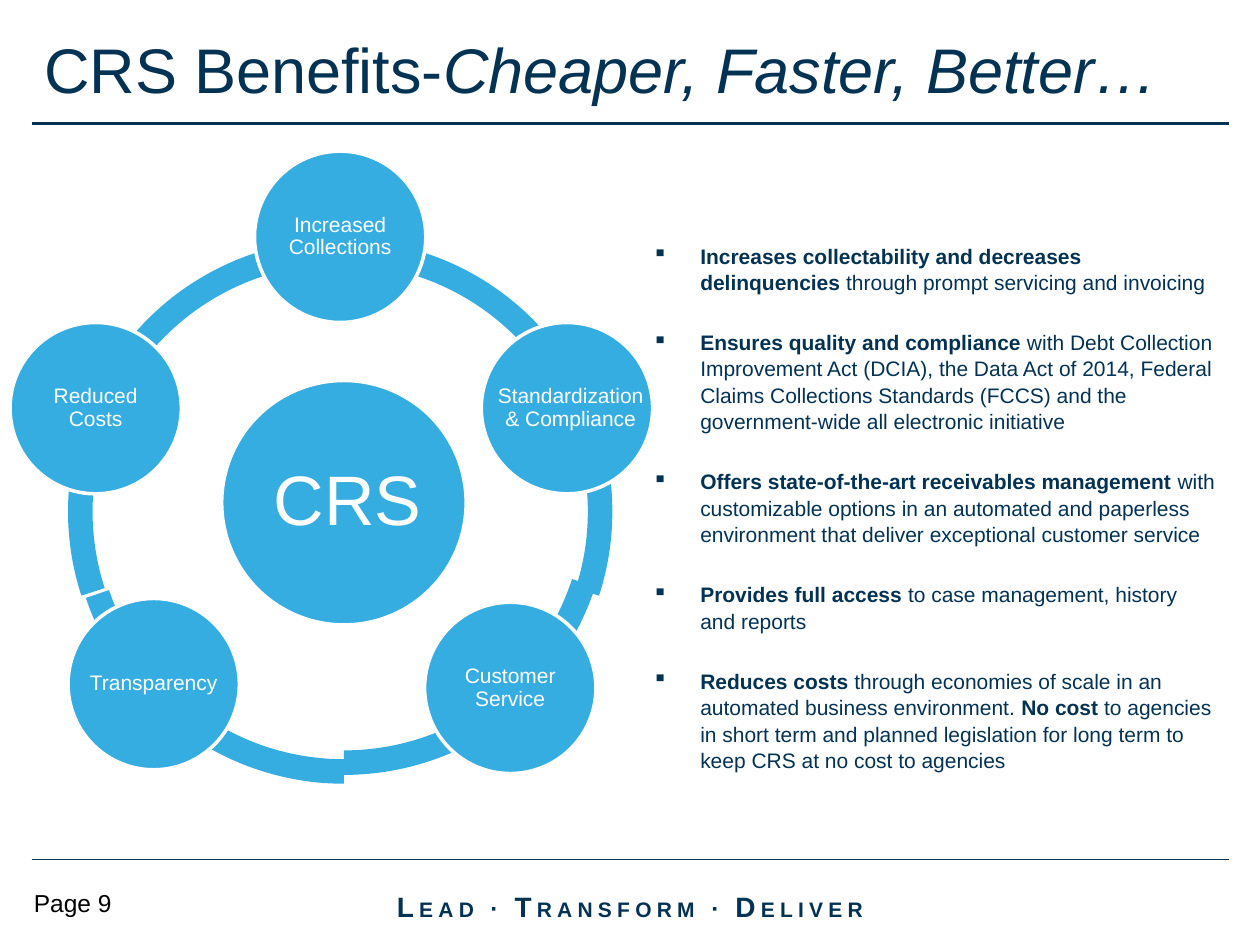
from pptx import Presentation
from pptx.dml.color import RGBColor
from pptx.enum.shapes import MSO_CONNECTOR as CONN, MSO_SHAPE as SHAPE
from pptx.enum.text import MSO_ANCHOR as ANCHOR, MSO_AUTO_SIZE as AUTO, PP_ALIGN as ALIGN
from pptx.oxml.ns import qn
from pptx.util import Inches, Pt
from lxml import etree

COLORS = {"navy": "043253", "blue": "36ADE1", "white": "FFFFFF", "black": "000000"}
FONT = "Arial"
W, H = 10, 7.5
MARGIN = W / 40
RING = 4.32  # ring diameter
HUB, NODE = 1.94, 1.36  # circle diameters

# Ring segments: left, top, start angle, end angle
ARCS = [
    (0.51, 1.83, 17.96, 53.5),
    (0.57, 1.9, 125.96, 161.5),
    (0.57, 1.9, 90, 126),
    (0.57, 1.83, 54, 90),
    (0.54, 1.9, 198, 18),
    (0.54, 1.9, 162, 198),
]

# Circles around the hub: label, left, top, label width
NODES = [
    ("Increased Collections", 2.02, 1.2, 0.96),
    ("Standardization & Compliance", 3.82, 2.56, 1.27),
    ("Customer Service", 3.37, 4.78, 0.96),
    ("Transparency", 0.54, 4.75, 1.08),
    ("Reduced Costs", 0.08, 2.56, 0.96),
]

# Bullets as (text, bold) runs
BENEFITS = [
    [("Increases collectability and decreases delinquencies ", True),
     ("through prompt servicing and invoicing", False)],
    [("Ensures quality and compliance", True),
     (" with Debt Collection Improvement Act (DCIA), the Data Act of 2014, Federal Claims "
      "Collections Standards (FCCS) and the government-wide all electronic initiative", False)],
    [("Offers state-of-the-art receivables management ", True),
     ("with customizable options in an automated and paperless environment that deliver "
      "exceptional customer service", False)],
    [("Provides full access ", True),
     ("to case management, history and reports", False)],
    [("Reduces costs", True),
     (" through economies of scale in an automated business environment. ", False),
     ("No cost", True),
     (" to agencies in short term and planned legislation for long term to keep CRS at no "
      "cost to agencies", False)],
]

# Motto as (text, size) runs
MOTTO = [("L", 16), ("EAD ", 12), ("∙ ", 14), ("T", 16), ("RANSFORM ", 12),
         ("∙ ", 14), ("D", 16), ("ELIVER", 12)]


def rgb(name):
    return RGBColor.from_string(COLORS[name])


def box(*lengths):
    return [Inches(v) for v in lengths]


def add_run(p, text, size, color="navy", bold=False, italic=False):
    r = p.add_run()
    r.text = text
    r.font.name, r.font.size = FONT, Pt(size)
    r.font.bold, r.font.italic = bold, italic
    r.font.color.rgb = rgb(color)
    return r


def add_text(shapes, place, anchor=ANCHOR.TOP, inset=None):
    tf = shapes.add_textbox(*box(*place)).text_frame
    tf.word_wrap = True
    tf.vertical_anchor = anchor
    if inset is not None:
        tf.margin_left = tf.margin_right = tf.margin_top = tf.margin_bottom = Inches(inset)
    return tf


def add_rule(slide, y, width):
    line = slide.shapes.add_connector(CONN.STRAIGHT, *box(MARGIN, y, W - MARGIN, y))
    line.line.color.rgb = rgb("navy")
    line.line.width = Pt(width)
    etree.SubElement(line._element.spPr, qn("a:effectLst"))


def fill_blue(s):
    s.shadow.inherit = False
    s.fill.solid()
    s.fill.fore_color.rgb = rgb("blue")


def add_arc(slide, left, top, start, end):
    s = slide.shapes.add_shape(SHAPE.BLOCK_ARC, *box(left, top, RING, RING))
    fill_blue(s)
    s.line.fill.background()
    # Angles are stored in 1/60000 degree, adjustments in 1/100000
    for i, value in enumerate((start * 0.6, end * 0.6, 0.045)):
        s.adjustments[i] = value


def add_circle(slide, label, left, top, size, label_w, label_h, points, inset):
    group = slide.shapes.add_group_shape()
    s = group.shapes.add_shape(SHAPE.OVAL, *box(left, top, size, size))
    fill_blue(s)
    s.line.color.rgb = rgb("white")
    s.line.width = Pt(2)
    # Label centred on the circle, kept inside its right edge
    label_left = min(left + (size - label_w) / 2 + (0.03 if label_w > 1.2 else 0),
                     left + size - label_w)
    tf = add_text(group.shapes, (label_left, top + (size - label_h) / 2, label_w, label_h),
                  ANCHOR.MIDDLE, inset)
    p = tf.paragraphs[0]
    p.alignment = ALIGN.CENTER
    p.line_spacing = 0.9
    add_run(p, label, points, "white")


def add_title(slide):
    title = slide.shapes.title
    title.left, title.top, title.width, title.height = box(MARGIN, 0.17, W - 2 * MARGIN, 0.75)
    tf = title.text_frame
    tf.auto_size = AUTO.NONE
    tf.vertical_anchor = ANCHOR.MIDDLE
    p = tf.paragraphs[0]
    p.alignment = ALIGN.LEFT
    add_run(p, "CRS Benefits-", 36)
    add_run(p, "Cheaper, Faster, Better…", 36, italic=True)


def add_benefits(slide):
    tf = add_text(slide.shapes, (5.08, 1.87, 4.67, 5.38))
    for i, runs in enumerate(BENEFITS):
        p = tf.paragraphs[0] if i == 0 else tf.add_paragraph()
        pPr = p._p.get_or_add_pPr()
        pPr.set("marL", str(Inches(0.38)))
        pPr.set("indent", str(-Inches(0.38)))
        etree.SubElement(pPr, qn("a:buChar")).set("char", "▪")
        p.line_spacing = 1.05
        if i:
            p.space_before = Pt(19.2)
        for text, bold in runs:
            add_run(p, text, 12, bold=bold)


def add_footer(slide):
    add_rule(slide, 6.82, 0.75)
    p = add_text(slide.shapes, (2.83, 6.99, 4.34, 0.4), ANCHOR.MIDDLE).paragraphs[0]
    p.alignment = ALIGN.CENTER
    for text, size in MOTTO:
        r = add_run(p, text, size, bold=True)
        r.font._element.set("spc", "300")
    page = add_text(slide.shapes, (0.17, 7, 1.25, 0.33))
    add_run(page.paragraphs[0], "Page 9", 14, "black")


def main():
    prs = Presentation()
    prs.slide_width, prs.slide_height = box(W, H)
    slide = prs.slides.add_slide(prs.slide_layouts[5])

    # Header and footer
    add_title(slide)
    add_rule(slide, 0.98, 2.25)
    add_footer(slide)

    # Text column
    add_benefits(slide)

    # Ring diagram
    for arc in ARCS:
        add_arc(slide, *arc)
    add_circle(slide, "CRS", 1.76, 3.02, HUB, 1.37, 1.37, 40, 0.08)
    for label, left, top, label_w in NODES:
        add_circle(slide, label, left, top, NODE, label_w, 0.96, 12, 0.02)

    prs.save("out.pptx")


if __name__ == "__main__":
    main()
